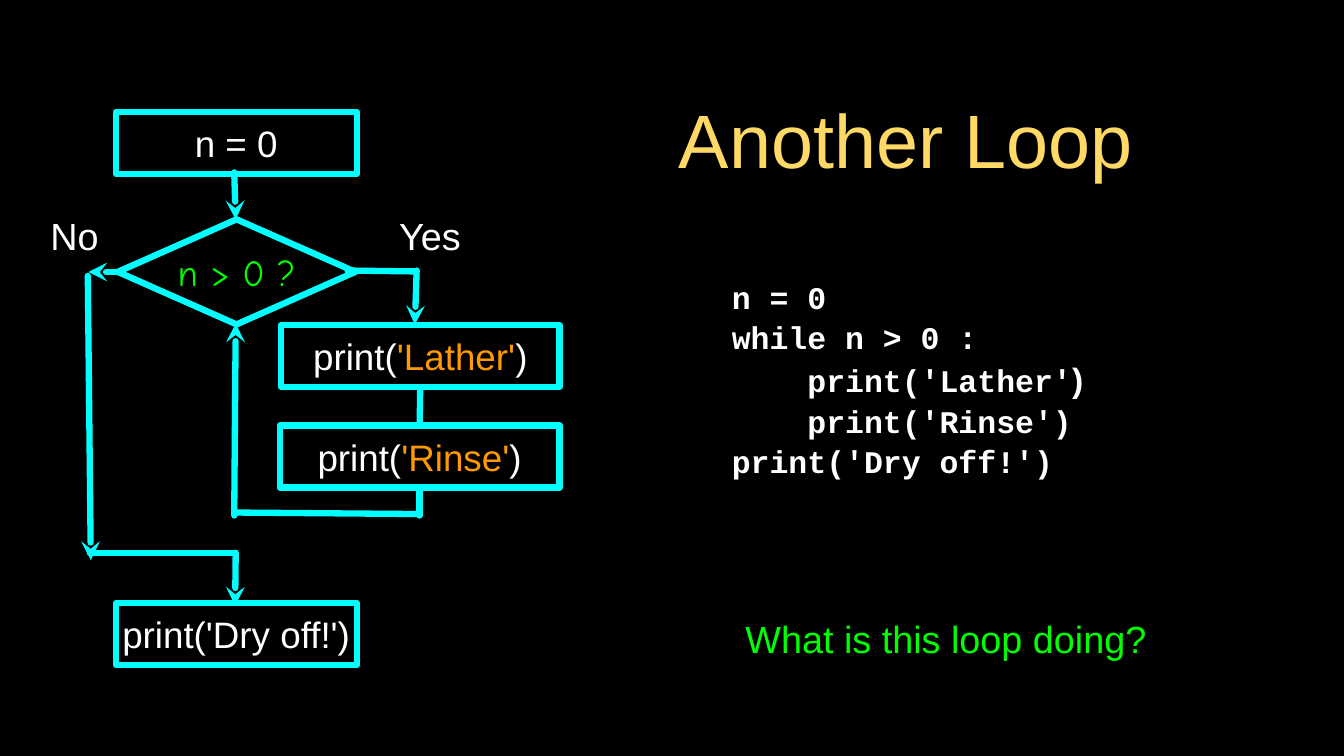
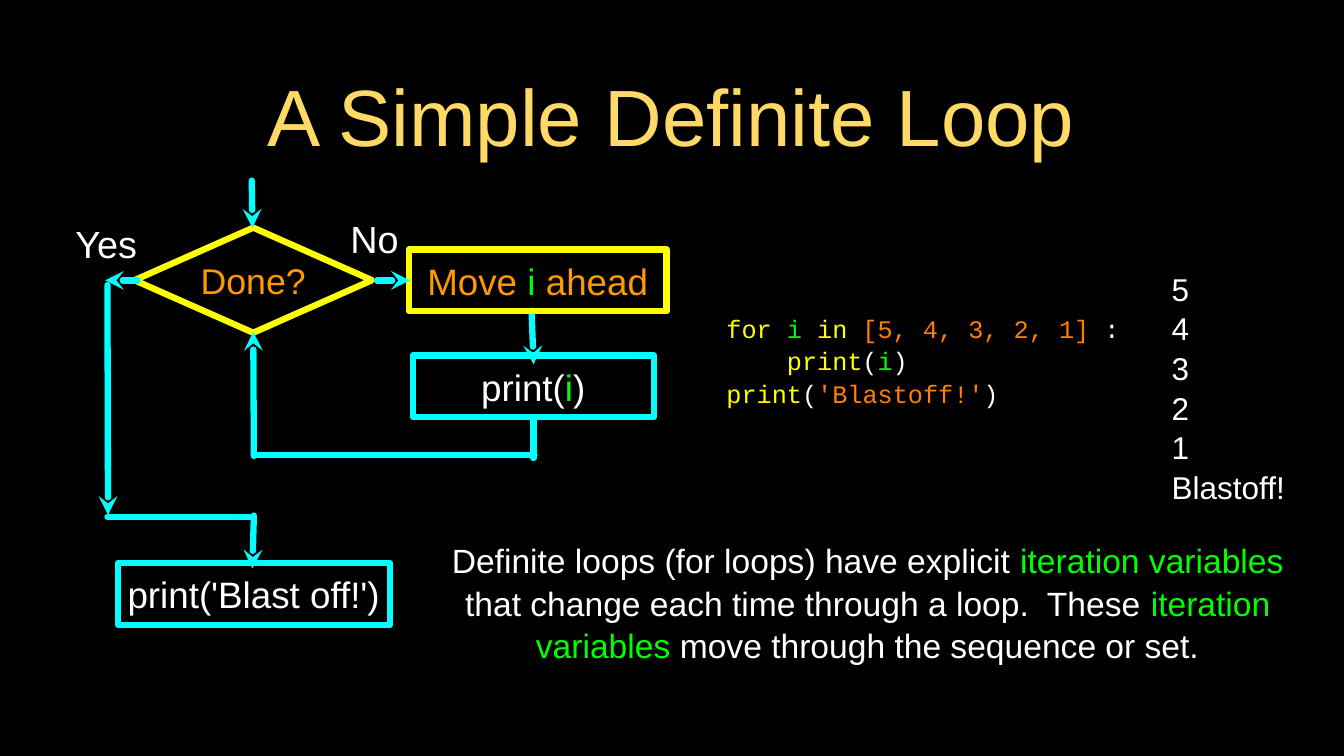
import dataclasses

import lxml.etree
import pptx
import pptx.dml.color
import pptx.enum.shapes
import pptx.enum.text
import pptx.oxml.ns
import pptx.util

Cm = pptx.util.Cm
Pt = pptx.util.Pt
qn = pptx.oxml.ns.qn
Align = pptx.enum.text.PP_ALIGN
Shape = pptx.enum.shapes.MSO_SHAPE


@dataclasses.dataclass(frozen=True)
class Theme:
    background: str = "000000"
    title: str = "FFD966"
    text: str = "FFFFFF"
    flow: str = "00FFFF"
    keyword: str = "FFFF00"
    variable: str = "00FF00"
    value: str = "FF9900"
    literal: str = "FF7F00"
    body_font: str = "Arial"
    code_font: str = "Courier New"
    hand_font: str = "Comic Neue"
    label_size: int = 36
    node_size: int = 35
    question_size: int = 34
    body_size: int = 32
    output_size: int = 30
    code_size: int = 30
    small_code_size: int = 24
    line_width: int = 6
    node_height: float = 2.08
    label_height: float = 1.73
    diamond_size: tuple = (7.98, 3.53)


THEME = Theme()


def rgb(color):
    return pptx.dml.color.RGBColor.from_string(color)


def tinted(text, color):
    return text, {"color": color}


def write_text(frame, paragraphs, align=Align.CENTER, wrap=True, inset=0, spacing=None, **style):
    frame.word_wrap = wrap
    frame.auto_size = pptx.enum.text.MSO_AUTO_SIZE.NONE
    frame.vertical_anchor = pptx.enum.text.MSO_ANCHOR.MIDDLE
    frame.margin_left = frame.margin_right = Cm(inset)
    frame.margin_top = frame.margin_bottom = Cm(inset)
    defaults = {"font": THEME.body_font, "size": THEME.body_size, "color": THEME.text, "bold": False}
    for index, runs in enumerate(paragraphs):
        paragraph = frame.paragraphs[0] if index == 0 else frame.add_paragraph()
        paragraph.alignment = align
        if spacing:
            paragraph.line_spacing = spacing
        for part in [runs] if isinstance(runs, str) else runs:
            text, changes = (part, {}) if isinstance(part, str) else part
            look = {**defaults, **style, **changes}
            run = paragraph.add_run()
            run.text = text
            run.font.name = look["font"]
            run.font.size = Pt(look["size"])
            run.font.bold = look["bold"]
            run.font.color.rgb = rgb(look["color"])


class Deck:
    def __init__(self, theme):
        self.theme = theme
        self.presentation = pptx.Presentation()
        self.presentation.slide_width = Cm(45.16)
        self.presentation.slide_height = Cm(25.4)
        fill = self.presentation.slide_master.background.fill
        fill.solid()
        fill.fore_color.rgb = rgb(theme.background)
        self.slide = None

    def add_slide(self, title, left, top, width, height, size):
        self.slide = self.presentation.slides.add_slide(self.presentation.slide_layouts[5])
        shape = self.slide.shapes.title
        shape.left, shape.top, shape.width, shape.height = map(Cm, (left, top, width, height))
        write_text(shape.text_frame, [title], inset=0.1, size=size, color=self.theme.title)

    def text(self, left, top, width, height, paragraphs, **style):
        box = self.slide.shapes.add_textbox(*map(Cm, (left, top, width, height)))
        write_text(box.text_frame, paragraphs, **style)

    def label(self, left, top, width, text, **style):
        self.text(left, top, width, self.theme.label_height, [text],
                  size=self.theme.label_size, **style)

    def code(self, left, top, width, height, lines, **style):
        self.text(left, top, width, height, lines, align=Align.LEFT, spacing=1.07,
                  font=self.theme.code_font, **style)

    def style_line(self, shape, color, arrow=False):
        shape.line.color.rgb = rgb(color)
        shape.line.width = Pt(self.theme.line_width)
        outline = shape.element.spPr.find(qn("a:ln"))
        outline.set("cap", "rnd")
        lxml.etree.SubElement(outline, qn("a:round"))
        if arrow:
            lxml.etree.SubElement(outline, qn("a:tailEnd"), type="stealth")

    def node(self, kind, left, top, width, height, runs, outline, **style):
        shape = self.slide.shapes.add_shape(kind, *map(Cm, (left, top, width, height)))
        shape.shadow.inherit = False
        shape.fill.background()
        self.style_line(shape, outline or self.theme.flow)
        write_text(shape.text_frame, [runs], wrap=False, **style)

    def step(self, left, top, width, runs, outline=None, **style):
        self.node(Shape.RECTANGLE, left, top, width, self.theme.node_height, runs, outline,
                  size=self.theme.node_size, **style)

    def decision(self, left, top, text, outline=None, **style):
        self.node(Shape.DIAMOND, left, top, *self.theme.diamond_size, text, outline, **style)

    def line(self, *ends, arrow=False):
        connector = self.slide.shapes.add_connector(
            pptx.enum.shapes.MSO_CONNECTOR.STRAIGHT, *map(Cm, ends))
        self.style_line(connector, self.theme.flow, arrow)
        lxml.etree.SubElement(connector.element.spPr, qn("a:effectLst"))

    def flow(self, lines, arrows):
        for ends in lines:
            self.line(*ends)
        for ends in arrows:
            self.line(*ends, arrow=True)


def build_another_loop(deck):
    theme = deck.theme
    deck.add_slide("Another Loop", 18.97, 2.26, 22.94, 4.78, size=72)
    deck.code(24.59, 8.84, 13.94, 7.7, [
        "n = 0",
        "while n > 0 :",
        ["    print('Lather'", (")", {"font": theme.body_font, "size": theme.body_size})],
        "    print('Rinse')",
        "print('Dry off!')",
    ], size=theme.code_size, bold=True)
    deck.decision(3.96, 7.37, "n > 0 ?", size=theme.node_size,
                  font=theme.hand_font, color=theme.variable)
    deck.flow(
        lines=[
            (13.94, 9.12, 11.68, 9.09),
            (14.12, 13, 14.1, 14.3),
            (14.1, 16.38, 14.1, 17.32),
            (7.92, 17.22, 14, 17.27),
            (3.02, 18.59, 7.87, 18.59),
        ],
        arrows=[
            (7.87, 5.79, 7.92, 7.37),
            (7.87, 17.32, 7.92, 10.87),
            (14, 9.09, 13.94, 10.9),
            (4.06, 9.14, 2.97, 9.14),
            (2.95, 9.27, 3.05, 18.82),
            (7.92, 18.57, 7.9, 20.35),
        ])
    deck.label(1.5, 7.04, 2.01, "No")
    deck.label(12.95, 7.04, 3, "Yes")
    deck.step(3.89, 3.76, 8.1, "n = 0")
    deck.step(3.89, 20.27, 8.1, "print('Dry off!')")
    deck.step(9.45, 10.92, 9.35, ["print(", tinted("'Lather'", theme.value), ")"])
    deck.step(9.4, 14.3, 9.4, ["print(", tinted("'Rinse'", theme.value), ")"])
    deck.label(23.04, 20.6, 17.5, "What is this loop doing?", color=theme.variable)


def build_definite_loop(deck):
    theme = deck.theme
    variable = tinted("i", theme.variable)
    print_word = tinted("print", theme.keyword)
    deck.add_slide("A Simple Definite Loop", 3.2, 2.26, 38.71, 3.15, size=76)
    deck.code(24.41, 9.78, 14.17, 4.62, [
        [tinted("for ", theme.keyword), tinted("i ", theme.variable),
         tinted("in ", theme.keyword), tinted("[5, 4, 3, 2, 1] ", theme.literal), ":"],
        ["    ", print_word, "(", variable, ")"],
        [print_word, "(", tinted("'Blastoff!'", theme.literal), ")"],
    ], size=theme.small_code_size)
    deck.text(39.37, 8.51, 4.62, 8.97, ["5", "4", "3", "2", "1", "Blastoff!"],
              align=Align.LEFT, spacing=1.05, size=theme.output_size)
    deck.decision(4.52, 7.65, "Done?", outline=theme.keyword,
                  size=theme.question_size, color=theme.value)
    deck.flow(
        lines=[
            (17.93, 14.02, 17.93, 15.39),
            (8.53, 15.29, 17.96, 15.29),
            (3.61, 17.37, 8.48, 17.37),
        ],
        arrows=[
            (8.46, 6.07, 8.48, 7.65),
            (8.53, 15.32, 8.51, 11.15),
            (17.86, 10.44, 17.93, 12.24),
            (4.62, 9.42, 3.53, 9.42),
            (3.61, 9.58, 3.63, 17.3),
            (8.53, 17.32, 8.48, 19.1),
        ])
    deck.label(1.93, 7.32, 3.28, "Yes")
    deck.label(11.58, 7.14, 2.01, "No")
    deck.step(3.96, 18.92, 9.14, "print('Blast off!')")
    deck.step(13.87, 11.94, 8.1, ["print(", variable, ")"])
    deck.step(13.74, 8.38, 8.66, ["Move ", variable, " ahead"],
              outline=theme.keyword, color=theme.value)
    deck.line(12.67, 9.42, 13.77, 9.42, arrow=True)
    deck.text(15.09, 17.91, 28.14, 4.62, [[
        "Definite loops (for loops) have explicit ",
        tinted("iteration variables ", theme.variable),
        "that change each time through a loop.  These ",
        tinted("iteration variables", theme.variable),
        " move through the sequence or set.",
    ]], spacing=1.05)


def main():
    deck = Deck(THEME)
    build_another_loop(deck)
    build_definite_loop(deck)
    deck.presentation.save("out.pptx")


if __name__ == "__main__":
    main()
